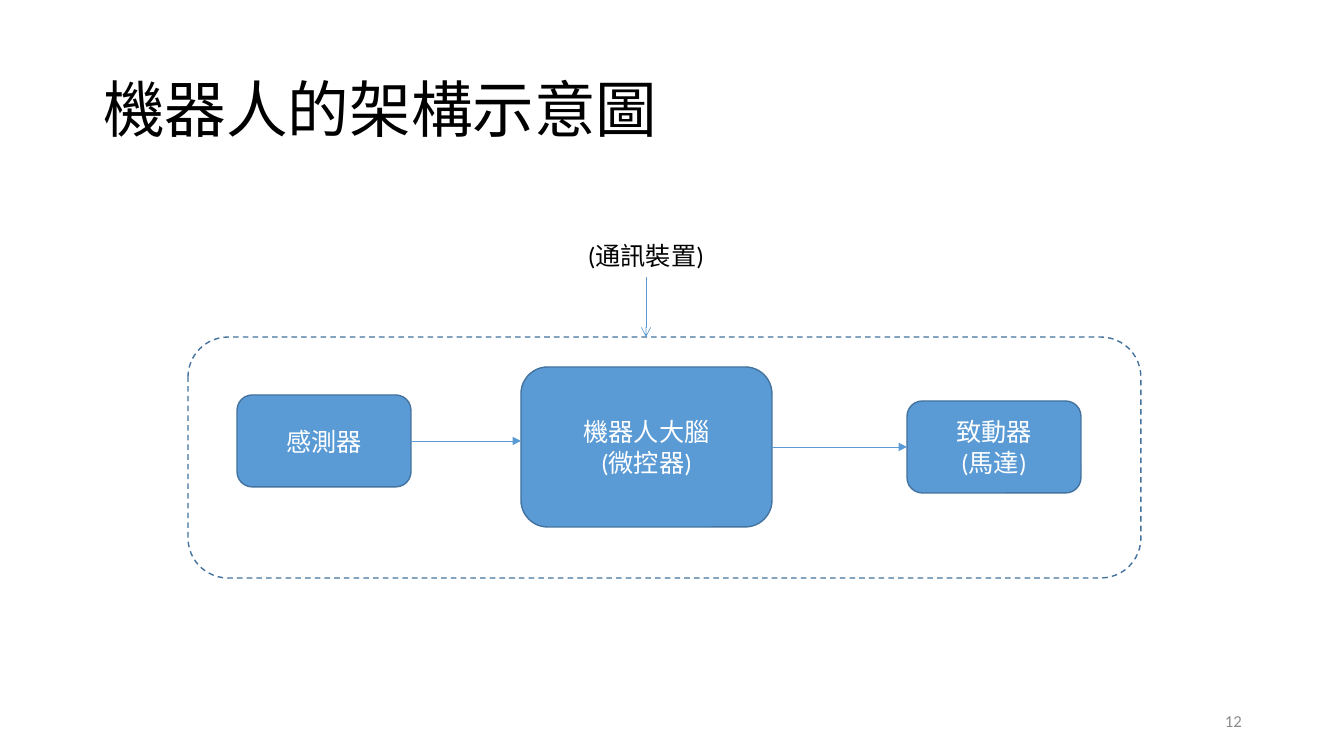
from pptx import Presentation
from pptx.dml.color import RGBColor
from pptx.enum.dml import MSO_LINE
from pptx.enum.shapes import MSO_CONNECTOR, MSO_SHAPE
from pptx.enum.text import MSO_ANCHOR as ANCHOR, MSO_AUTO_SIZE, PP_ALIGN as ALIGN
from pptx.oxml.ns import qn
from pptx.util import Pt
from lxml.etree import SubElement

BLUE = RGBColor(0x5B, 0x9B, 0xD5)
EDGE = RGBColor(0x43, 0x73, 0x9E)
WHITE = RGBColor(0xFF, 0xFF, 0xFF)
BLACK = RGBColor(0, 0, 0)
GREY = RGBColor(0x8C, 0x8C, 0x8C)
FONT = "Calibri"


def px(n):
    return round(n * 914400 / 100.8)


def write(shape, lines, size, color, align=ALIGN.LEFT, anchor=ANCHOR.MIDDLE, spacing=1.0):
    tf = shape.text_frame
    frame_format = {"word_wrap": True, "auto_size": MSO_AUTO_SIZE.NONE,
                    "vertical_anchor": anchor}
    for name, value in frame_format.items():
        setattr(tf, name, value)
    for i, line in enumerate(lines):
        p = tf.add_paragraph() if i else tf.paragraphs[0]
        p.alignment, p.line_spacing = align, spacing
        r = p.add_run()
        r.text = line
        for name, value in {"name": FONT, "size": Pt(size)}.items():
            setattr(r.font, name, value)
        r.font.color.rgb = color


def add_title(s, box, text):
    title = s.shapes.title
    for name, n in zip(("left", "top", "width", "height"), box):
        setattr(title, name, px(n))
    write(title, [text], 44, BLACK, spacing=0.9)


def add_label(s, box, text, size, color, **layout):
    label = s.shapes.add_textbox(*map(px, box))
    write(label, [text], size, color, **layout)


def add_round_box(s, box, lines=(), fill=None, dash=None):
    sp = s.shapes.add_shape(MSO_SHAPE.ROUNDED_RECTANGLE, *map(px, box))
    sp.shadow.inherit = False
    if fill is None:
        sp.fill.background()
    else:
        sp.fill.solid()
        sp.fill.fore_color.rgb = fill
    sp.line.color.rgb = EDGE
    sp.line.width = Pt(1)
    if dash:
        sp.line.dash_style = dash
    write(sp, lines, 18, WHITE, ALIGN.CENTER)
    return sp


def add_arrow(s, start, end, head="triangle"):
    arrow = s.shapes.add_connector(MSO_CONNECTOR.STRAIGHT, *map(px, start + end))
    arrow.line.color.rgb = BLUE
    arrow.line.width = Pt(0.5)
    SubElement(arrow.line._get_or_add_ln(), qn("a:tailEnd"), type=head)
    SubElement(arrow._element.spPr, qn("a:effectLst"))
    return arrow


def add_diagram(s, box):
    x, y, w, h = box
    # Robot parts
    sensor = add_round_box(s, (x + 49, y + 58, 174, 92), ["感測器"], BLUE)
    brain = add_round_box(s, (x + 333, y + 30, 251, 160), ["機器人大腦", "(微控器)"], BLUE)
    motor = add_round_box(s, (x + 719, y + 64, 174, 92), ["致動器", "(馬達)"], BLUE)

    # Signal flow
    sensed = add_arrow(s, (x + 223, y + 104), (x + 333, y + 104))
    sensed.begin_connect(sensor, 3)
    driven = add_arrow(s, (x + 584, y + 110), (x + 719, y + 110))
    driven.begin_connect(brain, 3)
    driven.end_connect(motor, 1)

    # Communication input above the frame
    add_label(s, (x + 390, y - 102, 138, 40), "(通訊裝置)", 18, BLACK, anchor=ANCHOR.TOP)
    add_arrow(s, (x + 458, y - 60), (x + 458, y), "arrow")

    # Dashed robot outline
    add_round_box(s, (x, y, w, h), dash=MSO_LINE.DASH)


def main():
    prs = Presentation()
    prs.slide_width, prs.slide_height = px(1344), px(756)
    s = prs.slides.add_slide(prs.slide_layouts[5])
    add_title(s, (93, 40, 1159, 146), "機器人的架構示意圖")
    add_diagram(s, (188, 337, 953, 241))
    # Slide number
    add_label(s, (950, 701, 302, 40), "12", 12, GREY, align=ALIGN.RIGHT)
    prs.save("out.pptx")


if __name__ == "__main__":
    main()
